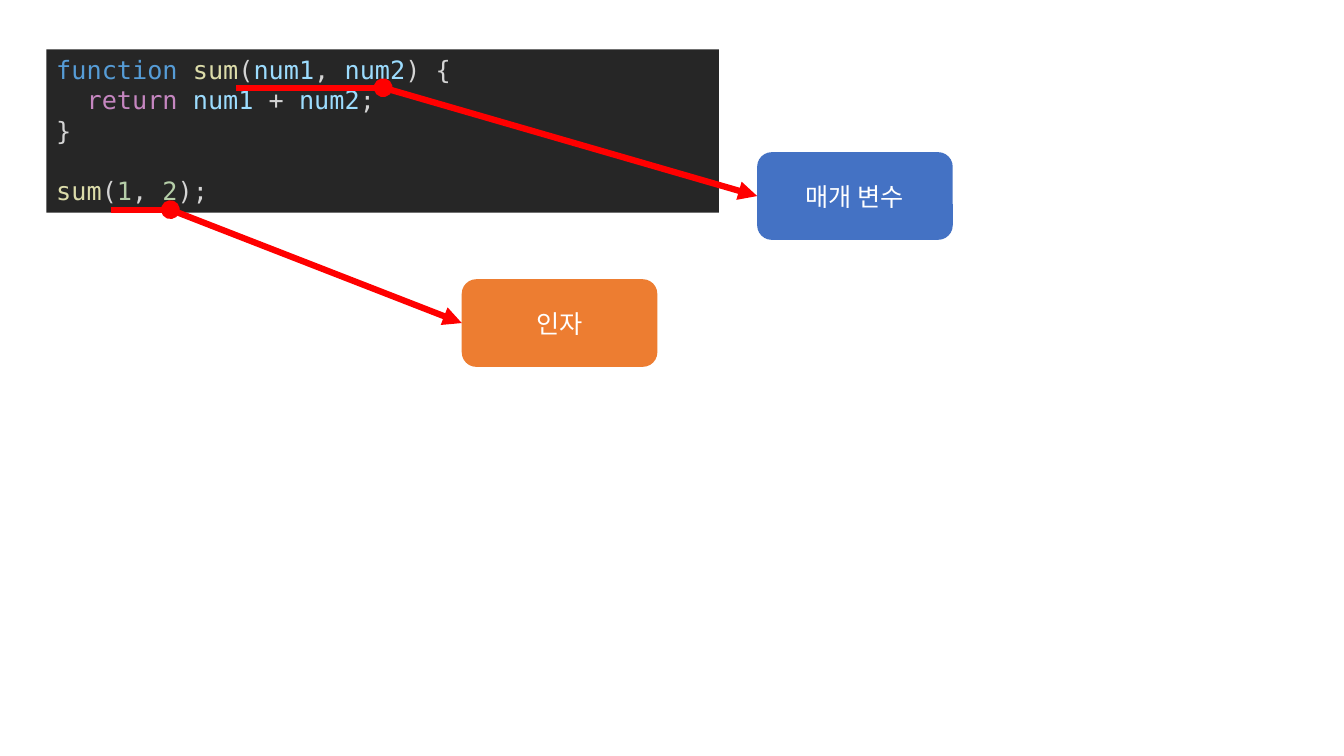
from lxml.etree import SubElement
from pptx import Presentation
from pptx.dml.color import RGBColor
from pptx.enum.shapes import MSO_CONNECTOR, MSO_SHAPE
from pptx.enum.text import MSO_ANCHOR, MSO_AUTO_SIZE, PP_ALIGN
from pptx.oxml.ns import qn
from pptx.util import Inches, Pt

CODE_FONT = "DejaVu Sans Mono"
LABEL_FONT = "Noto Sans CJK KR"
RED = "FF0000"
KEYWORD, CONTROL, FUNC = "569CD6", "C586C0", "DCDCAA"
VARIABLE, NUMBER, PLAIN = "9CDCFE", "B5CEA8", "D4D4D4"

# One list per paragraph; "\n" is a line break inside the paragraph
CODE = [
    [("function ", KEYWORD), ("sum", FUNC), ("(", PLAIN), ("num1", VARIABLE),
     (", ", PLAIN), ("num2", VARIABLE), (") {", PLAIN)],
    [("  ", PLAIN), ("return ", CONTROL), ("num1", VARIABLE), (" + ", PLAIN),
     ("num2", VARIABLE), (";", PLAIN)],
    [("}", PLAIN)],
    [("\n", PLAIN), ("sum", FUNC), ("(", PLAIN), ("1", NUMBER), (", ", PLAIN),
     ("2", NUMBER), (");", PLAIN)],
]

# Text, fill, label left and top, underline start, underline end, underline y
CALLOUTS = [
    ("매개 변수", "4472C4", 7.51, 1.51, 2.34, 3.8, 0.87),
    ("인자", "ED7D31", 4.58, 2.77, 1.1, 1.69, 2.08),
]
LABEL_W, LABEL_H = 1.94, 0.87


def rgb(color):
    return RGBColor.from_string(color)


def add_run(p, text, font, color):
    r = p.add_run()
    r.text = text
    for name, value in {"name": font, "size": Pt(18)}.items():
        setattr(r.font, name, value)
    r.font.color.rgb = rgb(color)
    SubElement(r.font._element, qn("a:ea"), typeface=font)


def add_box(slide, kind, x, y, w, h, fill):
    sp = slide.shapes.add_shape(kind, Inches(x), Inches(y), Inches(w), Inches(h))
    sp.shadow.inherit = False
    sp.fill.solid()
    sp.fill.fore_color.rgb = rgb(fill)
    sp.line.fill.background()
    return sp


def add_code(slide, x, y, w, h):
    tf = add_box(slide, MSO_SHAPE.RECTANGLE, x, y, w, h, "262626").text_frame
    settings = {"word_wrap": True, "vertical_anchor": MSO_ANCHOR.TOP,
                "auto_size": MSO_AUTO_SIZE.SHAPE_TO_FIT_TEXT}
    for name, value in settings.items():
        setattr(tf, name, value)
    for i, line in enumerate(CODE):
        p = tf.add_paragraph() if i else tf.paragraphs[0]
        p.alignment = PP_ALIGN.LEFT
        for text, color in line:
            if text == "\n":
                p.font.size = Pt(18)
                p.add_line_break()
                br = p._p.find(qn("a:br"))
                SubElement(br, qn("a:rPr"), sz="1800")
            else:
                add_run(p, text, CODE_FONT, color)


def add_label(slide, x, y, text, fill):
    sp = add_box(slide, MSO_SHAPE.ROUNDED_RECTANGLE, x, y, LABEL_W, LABEL_H, fill)
    tf = sp.text_frame
    tf.vertical_anchor = MSO_ANCHOR.MIDDLE
    p = tf.paragraphs[0]
    p.alignment = PP_ALIGN.CENTER
    add_run(p, text, LABEL_FONT, "FFFFFF")
    return sp


def add_line(slide, x1, y1, x2, y2):
    line = slide.shapes.add_connector(
        MSO_CONNECTOR.STRAIGHT, Inches(x1), Inches(y1), Inches(x2), Inches(y2))
    line.line.color.rgb = rgb(RED)
    line.line.width = Pt(4.5)
    SubElement(line._element.spPr, qn("a:effectLst"))
    return line


def add_callout(slide, text, fill, x, y, start, end, line_y):
    """Underline a piece of code and lead an arrow from it to its label."""
    add_line(slide, start, line_y, end, line_y)
    label = add_label(slide, x, y, text, fill)
    arrow = add_line(slide, end, line_y, x, y + LABEL_H / 2)
    arrow.end_connect(label, 1)
    ln = arrow.line._get_or_add_ln()
    SubElement(ln, qn("a:headEnd"), type="oval")
    SubElement(ln, qn("a:tailEnd"), type="triangle")


def main():
    prs = Presentation()
    prs.slide_width, prs.slide_height = Inches(13.33), Inches(7.5)
    slide = prs.slides.add_slide(prs.slide_layouts[6])
    add_code(slide, 0.46, 0.49, 6.67, 1.62)
    for callout in CALLOUTS:
        add_callout(slide, *callout)
    prs.save("out.pptx")


if __name__ == "__main__":
    main()
